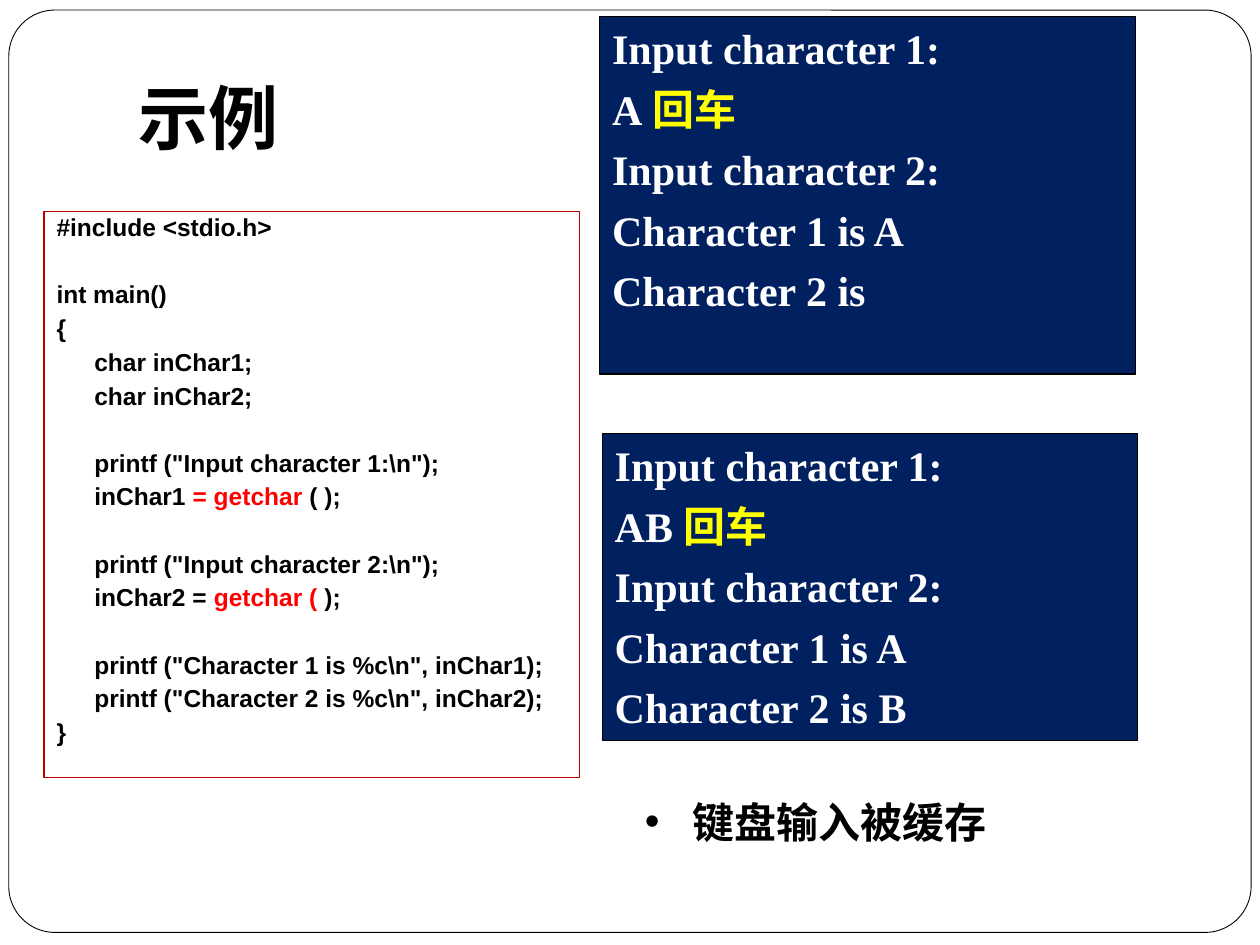
from dataclasses import dataclass

from lxml.etree import SubElement
from pptx import Presentation
from pptx.dml.color import RGBColor as Color
from pptx.enum.shapes import MSO_SHAPE as Preset
from pptx.enum.text import MSO_ANCHOR as Anchor, MSO_AUTO_SIZE as AutoSize, PP_ALIGN as Align
from pptx.oxml.ns import qn
from pptx.util import Inches, Pt


@dataclass(frozen=True)
class Theme:
    black: str = "000000"
    white: str = "FFFFFF"
    navy: str = "002060"
    code_border: str = "C00000"
    red: str = "FF0000"
    yellow: str = "FFFF00"
    title_size: float = 40
    code_size: float = 14
    console_size: float = 24
    note_size: float = 24
    sans: str = "Arial"
    serif: str = "Times New Roman"
    chinese: str = "Noto Sans CJK SC"
    paragraph_gap: float = 5.8
    code_line_pitch: float = 19.2


THEME = Theme()


@dataclass(frozen=True)
class Style:
    font: str
    size: float
    color: str


@dataclass(frozen=True)
class Span:
    text: str
    color: str | None = None


@dataclass(frozen=True)
class Line:
    spans: tuple[Span, ...]
    starts_block: bool = False


@dataclass(frozen=True)
class Box:
    left: float
    top: float
    width: float
    height: float

    def lengths(self) -> tuple:
        return tuple(Inches(value) for value in (self.left, self.top, self.width, self.height))


@dataclass(frozen=True)
class Console:
    box: Box
    lines: tuple[Line, ...]


def line(text: str, starts_block: bool = False) -> Line:
    return Line((Span(text),), starts_block)


def console_lines(typed: str, second: str) -> tuple[Line, ...]:
    return (
        line("Input character 1:"),
        Line((Span(typed), Span("回车", THEME.yellow))),
        line("Input character 2:"),
        line("Character 1 is A"),
        line(f"Character 2 is{second}"),
    )


CODE = (
    line("#include <stdio.h>"),
    line("int main()", True),
    line("{"),
    line("\tchar inChar1;"),
    line("\tchar inChar2;"),
    line('\tprintf ("Input character 1:\\n");', True),
    Line((Span("\tinChar1 "), Span("= getchar ", THEME.red), Span("( );"))),
    line('\tprintf ("Input character 2:\\n");', True),
    Line((Span("\tinChar2 = "), Span("getchar (", THEME.red), Span(" );"))),
    line('\tprintf ("Character 1 is %c\\n", inChar1);', True),
    line('\tprintf ("Character 2 is %c\\n", inChar2);'),
    line("}"),
)
CONSOLES = (
    Console(Box(4.76, 0.13, 4.25, 2.84), console_lines("A", "")),
    Console(Box(4.78, 3.44, 4.25, 2.44), console_lines("AB", " B")),
)


def add_span(paragraph, span: Span, style: Style) -> None:
    run = paragraph.add_run()
    run.text = span.text
    run.font.name = style.font
    run.font.size = Pt(style.size)
    run.font.bold = True
    run.font.color.rgb = Color.from_string(span.color or style.color)
    SubElement(run.font._element, qn("a:ea"), typeface=THEME.chinese)


def set_hanging_indent(paragraph, inches: float) -> None:
    properties = paragraph._p.get_or_add_pPr()
    properties.set("marL", str(Inches(inches)))
    properties.set("indent", str(-Inches(inches)))


def add_panel(slide, preset, box: Box, fill: str | None, border: str, width: float):
    shape = slide.shapes.add_shape(preset, *box.lengths())
    shape.shadow.inherit = False
    if fill:
        shape.fill.solid()
        shape.fill.fore_color.rgb = Color.from_string(fill)
    else:
        shape.fill.background()
    shape.line.color.rgb = Color.from_string(border)
    shape.line.width = Pt(width)
    return shape


def write_lines(shape, lines: tuple[Line, ...], style: Style,
                spacing: float = 1.0, indent: float = 0) -> None:
    frame = shape.text_frame
    frame.word_wrap = True
    frame.vertical_anchor = Anchor.TOP
    for index, item in enumerate(lines):
        paragraph = frame.add_paragraph() if index else frame.paragraphs[0]
        paragraph.alignment = Align.LEFT
        paragraph.line_spacing = spacing
        if index:
            block_gap = THEME.code_line_pitch if item.starts_block else 0
            paragraph.space_before = Pt(THEME.paragraph_gap + block_gap)
        if indent:
            set_hanging_indent(paragraph, indent)
        for span in item.spans:
            add_span(paragraph, span, style)


def add_title(slide, text: str) -> None:
    title = slide.shapes.title
    title.left, title.top, title.width, title.height = Box(1, 0.3, 8.5, 1.25).lengths()
    frame = title.text_frame
    frame.auto_size = AutoSize.NONE
    frame.vertical_anchor = Anchor.MIDDLE
    paragraph = frame.paragraphs[0]
    paragraph.alignment = Align.LEFT
    add_span(paragraph, Span(text), Style(THEME.sans, THEME.title_size, THEME.black))


def add_note(slide, text: str) -> None:
    note = slide.shapes.add_textbox(*Box(5.02, 6.27, 2.91, 0.5).lengths())
    note.text_frame.word_wrap = False
    note.text_frame.auto_size = AutoSize.SHAPE_TO_FIT_TEXT
    paragraph = note.text_frame.paragraphs[0]
    set_hanging_indent(paragraph, 0.38)
    properties = paragraph._p.get_or_add_pPr()
    SubElement(properties, qn("a:buFont"), typeface=THEME.sans)
    SubElement(properties, qn("a:buChar"), char="•")
    add_span(paragraph, Span(text), Style(THEME.chinese, THEME.note_size, THEME.black))


def main() -> None:
    presentation = Presentation()
    presentation.slide_width, presentation.slide_height = Inches(10), Inches(7.5)
    slide = presentation.slides.add_slide(presentation.slide_layouts[5])

    # Rounded page frame, behind the title
    frame = add_panel(slide, Preset.ROUNDED_RECTANGLE, Box(0.07, 0.08, 9.86, 7.32),
                      THEME.white, THEME.black, 0.5)
    frame.adjustments[0] = 0.05
    slide.shapes._spTree.insert(2, frame._element)

    add_title(slide, "示例")

    # Program listing
    listing = add_panel(slide, Preset.RECTANGLE, Box(0.35, 1.68, 4.25, 4.49),
                        None, THEME.code_border, 0.75)
    write_lines(listing, CODE, Style(THEME.sans, THEME.code_size, THEME.black), 0.8, 0.3)

    # Console sessions
    for console in CONSOLES:
        panel = add_panel(slide, Preset.RECTANGLE, console.box, THEME.navy, THEME.black, 0.75)
        write_lines(panel, console.lines, Style(THEME.serif, THEME.console_size, THEME.white))

    add_note(slide, "键盘输入被缓存")
    presentation.save("out.pptx")


if __name__ == "__main__":
    main()
